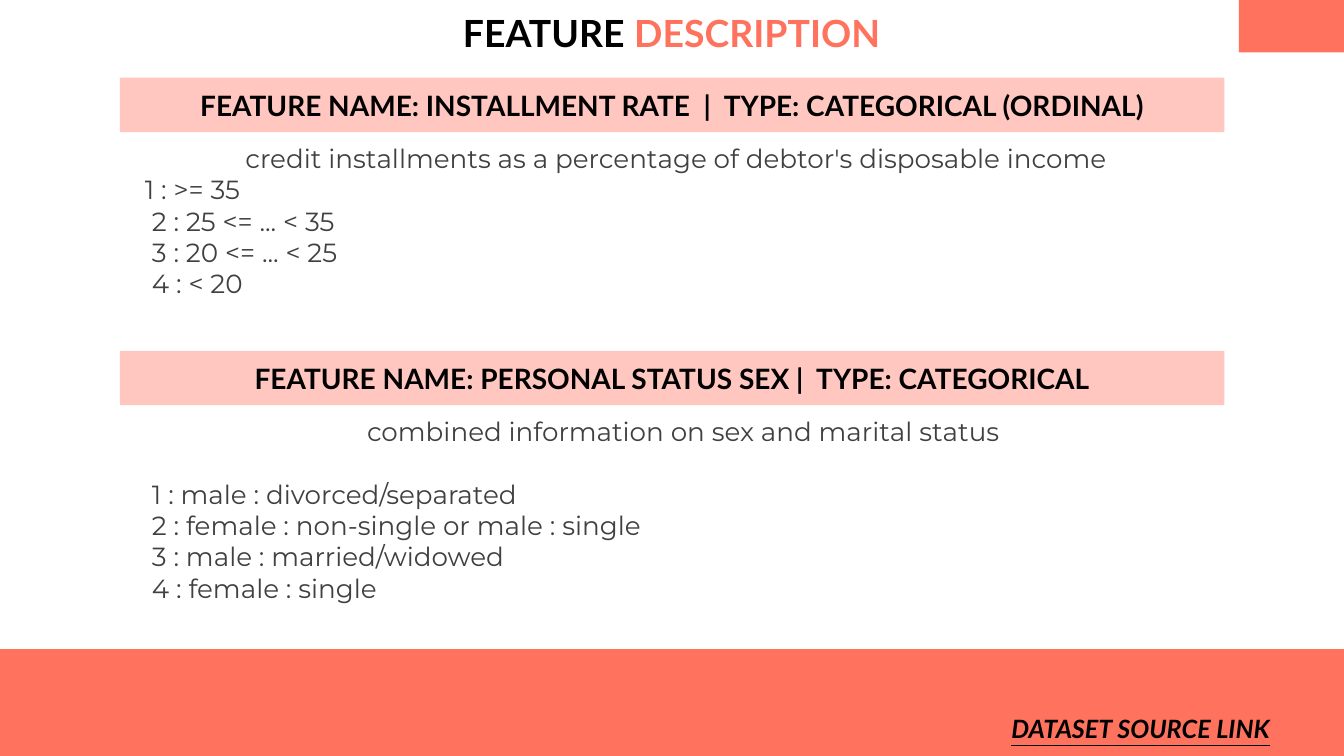
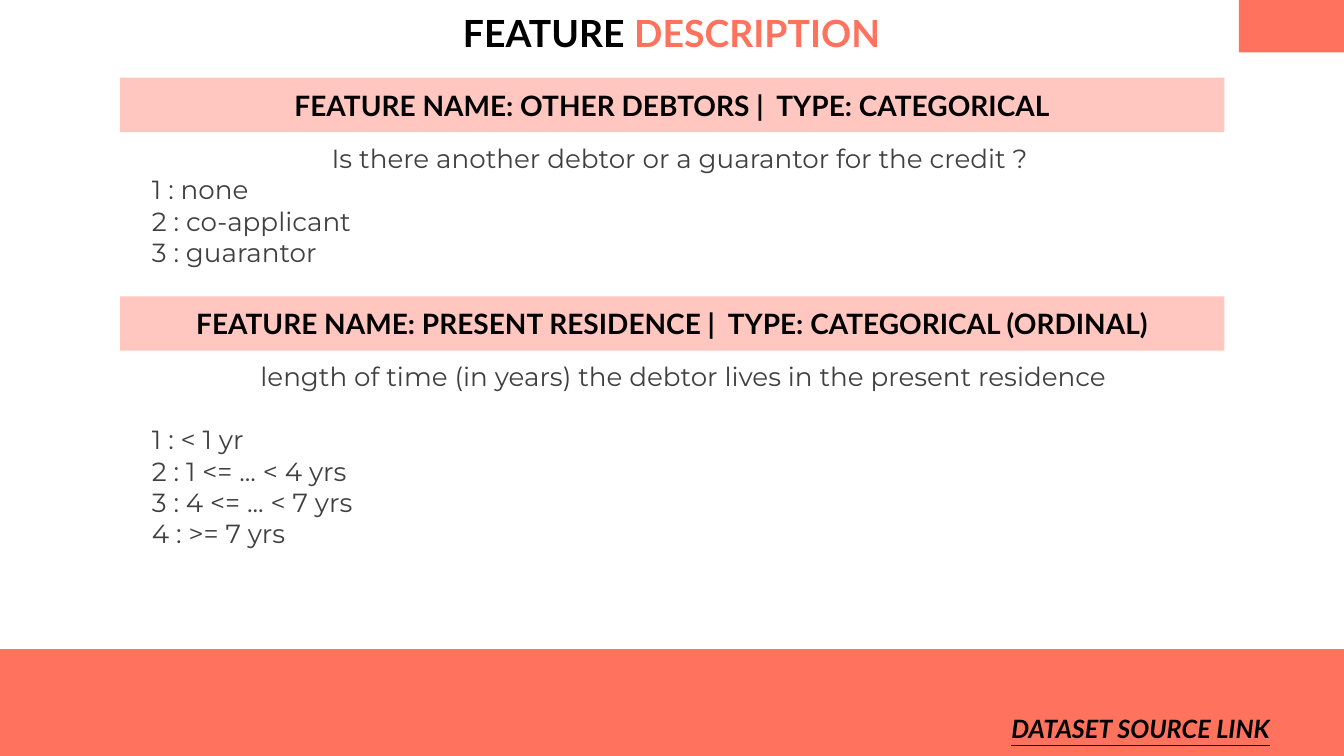
import pptx
import pptx.util
import pptx.dml.color
import pptx.enum.shapes
import pptx.enum.text

Cm = pptx.util.Cm
Pt = pptx.util.Pt
ALIGN = pptx.enum.text.PP_ALIGN
ANCHOR = pptx.enum.text.MSO_ANCHOR

# Content: each feature has its band top (cm), heading, description and codes;
# indents are in cm, code_gap is the space above the codes in points
TITLE = [("FEATURE ", "black"), ("DESCRIPTION", "coral")]
FOOTER = "DATASET SOURCE LINK"
SLIDES = [
    [
        dict(top=1.96, height=5.51,
             heading="FEATURE NAME: INSTALLMENT RATE  |  TYPE: CATEGORICAL (ORDINAL)",
             description="credit installments as a percentage of debtor's disposable income",
             description_indent=0.19, first_indent=0.38, code_gap=0,
             codes=["1 : >= 35", "2 : 25 <= ... < 35", "3 : 20 <= ... < 25", "4 : < 20"]),
        dict(top=8.84, height=5.51,
             heading="FEATURE NAME: PERSONAL STATUS SEX |  TYPE: CATEGORICAL",
             description="combined information on sex and marital status",
             description_indent=0.56, first_indent=0.56, code_gap=22.4,
             codes=["1 : male : divorced/separated",
                    "2 : female : non-single or male : single",
                    "3 : male : married/widowed", "4 : female : single"]),
    ],
    [
        dict(top=1.96, height=3.81,
             heading="FEATURE NAME: OTHER DEBTORS |  TYPE: CATEGORICAL",
             description="Is there another debtor or a guarantor for the credit ?",
             description_indent=0.38, first_indent=0.56, code_gap=0,
             codes=["1 : none", "2 : co-applicant", "3 : guarantor"]),
        dict(top=7.47, height=5.51,
             heading="FEATURE NAME: PRESENT RESIDENCE |  TYPE: CATEGORICAL (ORDINAL)",
             description="length of time (in years) the debtor lives in the present residence",
             description_indent=0.56, first_indent=0.56, code_gap=22.4,
             codes=["1 : < 1 yr", "2 : 1 <= ... < 4 yrs",
                    "3 : 4 <= ... < 7 yrs", "4 : >= 7 yrs"]),
    ],
]

# Shared style and measures (cm)
COLORS = {"coral": "FF725E", "pink": "FFC7BF", "black": "000000", "grey": "404040"}
PAGE_WIDTH, PAGE_HEIGHT = 33.87, 19.05
BAND_LEFT, BAND_WIDTH, BAND_HEIGHT = 3.02, 27.84, 1.37
CODE_INDENT = 0.56


def rgb(name):
    return pptx.dml.color.RGBColor.from_string(COLORS[name])


def add_text(frame, spans, first=True, size=18.7, font="Montserrat", color="grey",
             bold=False, italic=False, underline=False, align=ALIGN.LEFT,
             indent=0, before=0):
    """Write one paragraph; spans is a string or a list of (text, color)."""
    para = frame.paragraphs[0] if first else frame.add_paragraph()
    para.alignment = align
    para.space_before = Pt(before)
    if indent:
        para._p.get_or_add_pPr().set("marL", str(Cm(indent)))
    for text, span_color in [(spans, color)] if isinstance(spans, str) else spans:
        span = para.add_run()
        span.text = text
        span.font.size = Pt(size)
        span.font.name = font
        span.font.bold = bold
        span.font.italic = italic
        span.font.underline = underline
        span.font.color.rgb = rgb(span_color)


def add_heading(frame, spans, **style):
    add_text(frame, spans, font="Lato", color="black", bold=True,
             align=ALIGN.CENTER, **style)


def add_block(page, left, top, width, height, fill):
    block = page.shapes.add_shape(pptx.enum.shapes.MSO_SHAPE.RECTANGLE,
                                  Cm(left), Cm(top), Cm(width), Cm(height))
    block.shadow.inherit = False
    block.fill.solid()
    block.fill.fore_color.rgb = rgb(fill)
    block.line.fill.background()
    block.text_frame.word_wrap = True
    block.text_frame.vertical_anchor = ANCHOR.MIDDLE
    return block.text_frame


def add_box(page, left, top, width, height, anchor=ANCHOR.MIDDLE, inset=0.25):
    box = page.shapes.add_textbox(Cm(left), Cm(top), Cm(width), Cm(height))
    frame = box.text_frame
    frame.word_wrap = True
    frame.vertical_anchor = anchor
    frame.margin_top = frame.margin_bottom = Cm(inset)
    return frame


def add_page(deck):
    """Add a page with the bands, title and footer that all pages share."""
    page = deck.slides.add_slide(deck.slide_layouts[6])
    add_block(page, 0, 16.36, PAGE_WIDTH, PAGE_HEIGHT - 16.36, "coral")
    add_block(page, 31.22, 0, PAGE_WIDTH - 31.22, 1.32, "coral")
    add_heading(add_box(page, 2.21, 0, 29.44, 1.65), TITLE, size=26.7)
    add_heading(add_box(page, 23.6, 17.68, 10.29, BAND_HEIGHT, inset=0.13), FOOTER,
                size=18, italic=True, underline=True)
    return page


def add_feature(page, feature):
    band = add_block(page, BAND_LEFT, feature["top"], BAND_WIDTH, BAND_HEIGHT, "pink")
    add_heading(band, feature["heading"], size=20)
    body = add_box(page, BAND_LEFT, feature["top"] + BAND_HEIGHT, BAND_WIDTH,
                   feature["height"], anchor=ANCHOR.TOP)
    add_text(body, feature["description"], align=ALIGN.CENTER,
             indent=feature["description_indent"])
    for number, code in enumerate(feature["codes"]):
        add_text(body, code, first=False,
                 indent=CODE_INDENT if number else feature["first_indent"],
                 before=0 if number else feature["code_gap"])


# Build the deck
deck = pptx.Presentation()
deck.slide_width, deck.slide_height = Cm(PAGE_WIDTH), Cm(PAGE_HEIGHT)
for features in SLIDES:
    page = add_page(deck)
    for feature in features:
        add_feature(page, feature)
deck.save("out.pptx")
